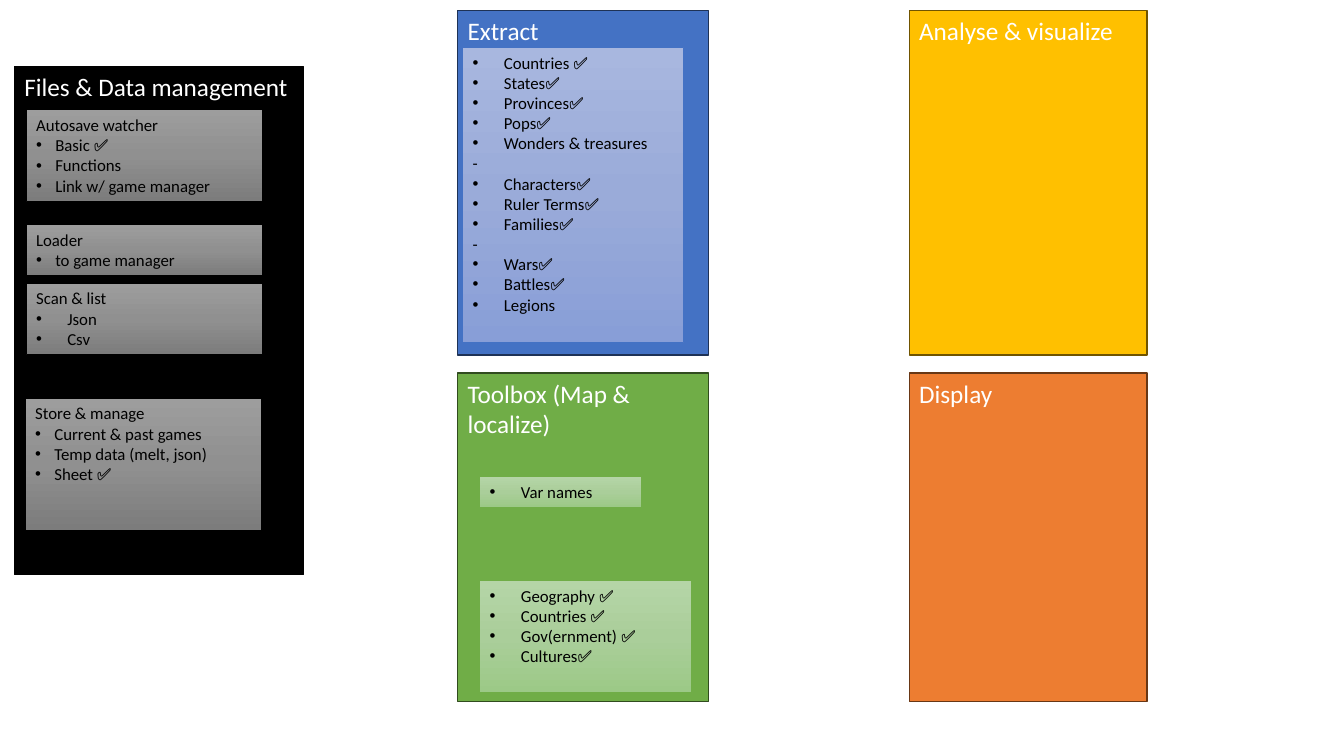
import copy

import pptx
import pptx.dml.color
import pptx.enum.shapes
import pptx.enum.text
import pptx.oxml
import pptx.oxml.ns
import pptx.util

RGBColor = pptx.dml.color.RGBColor
BLACK = RGBColor(0x00, 0x00, 0x00)
WHITE = RGBColor(0xFF, 0xFF, 0xFF)
BLUE, NAVY = RGBColor(0x44, 0x72, 0xC4), RGBColor(0x1E, 0x32, 0x56)
GREEN, FOREST = RGBColor(0x70, 0xAD, 0x47), RGBColor(0x31, 0x4C, 0x1F)
GOLD, BRONZE = RGBColor(0xFF, 0xC0, 0x00), RGBColor(0x70, 0x54, 0x00)
ORANGE, BROWN = RGBColor(0xED, 0x7D, 0x31), RGBColor(0x68, 0x37, 0x15)
GREY_FADE = (RGBColor(0x9D, 0x9D, 0x9D), RGBColor(0x90, 0x90, 0x90), RGBColor(0x7C, 0x7C, 0x7C))
BLUE_FADE = (RGBColor(0xA8, 0xB7, 0xDF), RGBColor(0x9A, 0xAB, 0xD9), RGBColor(0x88, 0x9E, 0xD7))
GREEN_FADE = (RGBColor(0xB5, 0xD5, 0xA7), RGBColor(0xAA, 0xCE, 0x9A), RGBColor(0x9C, 0xC9, 0x87))

FONT = "Calibri"
SLIDE_WIDTH = pptx.util.Inches(13.33)
SLIDE_HEIGHT = pptx.util.Inches(7.5)
NARROW, WIDE = 0.19, 0.31  # bullet indents in inches

# Columns (left, width) and rows (top, height) in percent of the slide
FILES_COLUMN, FILES_ROW = (1.07, 21.53), (8.83, 67.2)
MIDDLE_COLUMN, RIGHT_COLUMN = (34.05, 18.68), (67.65, 17.7)
TOP_ROW, BOTTOM_ROW = (1.36, 45.6), (49.33, 43.47)
CARD_COLUMN, STORE_COLUMN = (1.95, 17.55), (1.88, 17.55)

PANELS = [
    ("Files & Data management", FILES_COLUMN, FILES_ROW, BLACK, BLACK),
    ("Toolbox (Map & localize)", MIDDLE_COLUMN, BOTTOM_ROW, GREEN, FOREST),
    ("Extract", MIDDLE_COLUMN, TOP_ROW, BLUE, NAVY),
    ("Display", RIGHT_COLUMN, BOTTOM_ROW, ORANGE, BROWN),
    ("Analyse & visualize", RIGHT_COLUMN, TOP_ROW, GOLD, BRONZE),
]

FILE_CARDS = [
    ("Autosave watcher", ["Basic ✅", "Functions", "Link w/ game manager"],
     CARD_COLUMN, (14.53, 12.13), NARROW),
    ("Loader", ["to game manager"], CARD_COLUMN, (29.73, 6.67), NARROW),
    ("Scan & list", ["Json", "Csv"], CARD_COLUMN, (37.47, 9.47), WIDE),
    ("Store & manage", ["Current & past games", "Temp data (melt, json)", "Sheet ✅"],
     STORE_COLUMN, (52.67, 17.47), NARROW),
]

EXTRACT_GROUPS = [
    ["Countries ✅", "States✅", "Provinces✅", "Pops✅", "Wonders & treasures"],
    ["Characters✅", "Ruler Terms✅", "Families✅"],
    ["Wars✅", "Battles✅", "Legions"],
]

TOOLBOX_CARDS = [
    (["Geography ✅", "Countries ✅", "Gov(ernment) ✅", "Cultures✅"],
     (35.7, 15.75), (76.8, 14.8)),
    (["Var names"], (35.7, 12), (63.07, 4)),
]


def add_box(page, column, row, line_color, line_width):
    (left, width), (top, height) = column, row
    box = page.shapes.add_shape(
        pptx.enum.shapes.MSO_SHAPE.RECTANGLE,
        round(SLIDE_WIDTH * left / 100), round(SLIDE_HEIGHT * top / 100),
        round(SLIDE_WIDTH * width / 100), round(SLIDE_HEIGHT * height / 100))
    box.shadow.inherit = False
    box.line.color.rgb = line_color
    box.line.width = pptx.util.Pt(line_width)
    box.text_frame.word_wrap = True
    box.text_frame.vertical_anchor = pptx.enum.text.MSO_ANCHOR.TOP
    return box


def write(para, text, size, color):
    para.alignment = pptx.enum.text.PP_ALIGN.LEFT
    span = para.add_run()
    span.text = text
    span.font.name = FONT
    span.font.size = pptx.util.Pt(size)
    span.font.color.rgb = color


def set_bullet(para, indent):
    properties = para._p.get_or_add_pPr()
    properties.set("marL", str(pptx.util.Inches(indent)))
    properties.set("indent", str(-pptx.util.Inches(indent)))
    namespace = pptx.oxml.ns.nsdecls("a")
    for tag in (f'<a:buFont {namespace} typeface="Arial"/>',
                f'<a:buChar {namespace} char="•"/>'):
        properties.append(pptx.oxml.parse_xml(tag))


def fade_down(box, colors):
    """Fill a box with three evenly spaced colours from top to bottom."""
    box.fill.gradient()
    box.fill.gradient_angle = 270
    stops = box._element.spPr.find(".//" + pptx.oxml.ns.qn("a:gsLst"))
    stops.insert(1, copy.deepcopy(stops[0]))
    for index, (stop, color) in enumerate(zip(box.fill.gradient_stops, colors)):
        stop.position = index / 2
        stop.color.rgb = color


def add_panel(page, title, column, row, fill_color, line_color):
    box = add_box(page, column, row, line_color, 1)
    box.fill.solid()
    box.fill.fore_color.rgb = fill_color
    write(box.text_frame.paragraphs[0], title, 18, WHITE)


def add_card(page, lines, column, row, colors, line_color, indent):
    """Add a faded box; lines holds (text, is_bulleted) pairs."""
    box = add_box(page, column, row, line_color, 0.5)
    fade_down(box, colors)
    frame = box.text_frame
    for index, (text, is_bulleted) in enumerate(lines):
        para = frame.add_paragraph() if index else frame.paragraphs[0]
        write(para, text, 12, BLACK)
        if is_bulleted:
            set_bullet(para, indent)


def bulleted(items):
    return [(item, True) for item in items]


def main():
    deck = pptx.Presentation()
    deck.slide_width, deck.slide_height = SLIDE_WIDTH, SLIDE_HEIGHT
    page = deck.slides.add_slide(deck.slide_layouts.get_by_name("Blank"))

    for panel in PANELS:
        add_panel(page, *panel)

    for heading, items, column, row, indent in FILE_CARDS:
        lines = [(heading, False)] + bulleted(items)
        add_card(page, lines, column, row, GREY_FADE, BLACK, indent)

    extract_lines = []
    for group in EXTRACT_GROUPS:
        if extract_lines:
            extract_lines.append(("-", False))
        extract_lines += bulleted(group)
    add_card(page, extract_lines, (34.43, 16.43), (6.27, 39.07), BLUE_FADE, BLUE, WIDE)

    for items, column, row in TOOLBOX_CARDS:
        add_card(page, bulleted(items), column, row, GREEN_FADE, GREEN, WIDE)

    deck.save("out.pptx")


if __name__ == "__main__":
    main()
